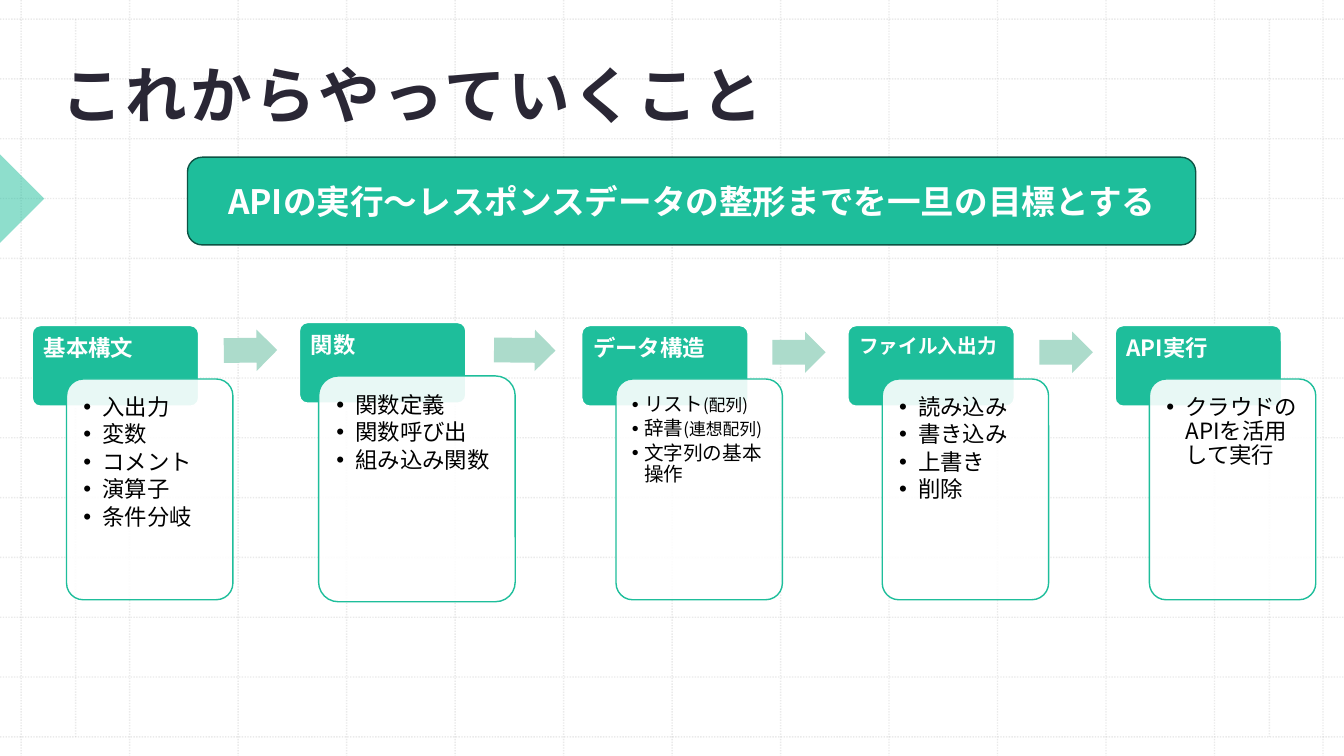
from lxml import etree
from pptx import Presentation
from pptx.dml.color import RGBColor
from pptx.enum.dml import MSO_LINE
from pptx.enum.shapes import MSO_CONNECTOR, MSO_SHAPE
from pptx.enum.text import MSO_ANCHOR, PP_ALIGN
from pptx.oxml.ns import qn
from pptx.util import Inches, Pt

ROUNDED, ARROW, TRIANGLE = MSO_SHAPE.ROUNDED_RECTANGLE, MSO_SHAPE.RIGHT_ARROW, MSO_SHAPE.RIGHT_TRIANGLE
STRAIGHT, DOTTED = MSO_CONNECTOR.STRAIGHT, MSO_LINE.ROUND_DOT
TOP, MIDDLE, BOTTOM = MSO_ANCHOR.TOP, MSO_ANCHOR.MIDDLE, MSO_ANCHOR.BOTTOM
LEFT, CENTER = PP_ALIGN.LEFT, PP_ALIGN.CENTER
FONT = "Noto Sans CJK JP"
COLORS = {"green": "1EBE9B", "dark_green": "0D5344", "pale_green": "ACDBCB",
          "ink": "2A2735", "black": "000000", "white": "FFFFFF", "grid": "BCBCBC"}
WIDTH, HEIGHT = 13.33, 7.5
HEADER_BOX = (1.65, 0.8)
CARD_BOX = (0.34, 0.53, 1.65, 2.19)
STEPS = [
    {"at": (0.32, 3.23), "title": "基本構文",
     "items": ["入出力", "変数", "コメント", "演算子", "条件分岐"],
     "arrow": (2.22, 3.27, 0.53, 359.4)},
    {"at": (2.97, 3.2), "title": "関数", "card": (0.19, 0.53, 1.95, 2.24),
     "items": ["関数定義", "関数呼び出", "組み込み関数"],
     "arrow": (4.9, 3.27, 0.61, 0.6)},
    {"at": (5.77, 3.23), "title": "データ構造", "item_size": 14, "indent": 0.12, "margin": 0.11,
     "items": ["リスト|(配列)", "辞書|(連想配列)", "文字列の基本操作"],
     "arrow": (7.66, 3.29, 0.53, 0)},
    {"at": (8.41, 3.23), "title": "ファイル入出力", "title_size": 14,
     "items": ["読み込み", "書き込み", "上書き", "削除"],
     "arrow": (10.31, 3.29, 0.53, 0)},
    {"at": (11.06, 3.23), "title": "API実行", "items": ["クラウドのAPIを活用して実行"]},
]


def rgb(name):
    """Return the palette colour called name."""
    return RGBColor.from_string(COLORS[name])


def set_alpha(fill_parent, percent):
    """Make the solid colour inside an element partly transparent."""
    color = next(fill_parent.iter(qn("a:srgbClr")))
    etree.SubElement(color, qn("a:alpha")).set("val", str(percent * 1000))


def add_block(slide, kind, box, fill, line=None, alpha=None, adjustments=()):
    """Add a flat preset shape filling the given box."""
    shape = slide.shapes.add_shape(kind, *map(Inches, box))
    shape.shadow.inherit = False
    shape.fill.solid()
    shape.fill.fore_color.rgb = rgb(fill)
    if alpha:
        set_alpha(shape.fill._xPr.find(qn("a:solidFill")), alpha)
    if line:
        shape.line.color.rgb = rgb(line)
        shape.line.width = Pt(1)
    else:
        shape.line.fill.background()
    for index, value in enumerate(adjustments):
        shape.adjustments[index] = value
    return shape


def set_frame(shape, anchor, margins):
    """Wrap the text of a shape, anchor it and set its margins."""
    frame = shape.text_frame
    frame.word_wrap = True
    frame.vertical_anchor = anchor
    frame.margin_left, frame.margin_top, frame.margin_right, frame.margin_bottom = map(Inches, margins)
    return frame


def write(paragraph, text, size, color, bold=False, align=LEFT, spacing=1.0, indent=0, tracking=0):
    """Fill a paragraph; text after a bar is set two points smaller."""
    properties = paragraph._p.get_or_add_pPr()
    if indent:
        properties.set("marL", str(Inches(indent)))
        properties.set("indent", str(Inches(-indent)))
        etree.SubElement(properties, qn("a:buFont")).set("typeface", "Arial")
        etree.SubElement(properties, qn("a:buChar")).set("char", "•")
        paragraph.space_after = Pt(size * 0.15)
    paragraph.alignment = align
    paragraph.line_spacing = spacing
    font = paragraph.font
    font.name, font.size, font.bold = FONT, Pt(size), bold
    font.color.rgb = rgb(color)
    defaults = properties.find(qn("a:defRPr"))
    etree.SubElement(defaults, qn("a:ea")).set("typeface", FONT)
    if tracking:
        defaults.set("spc", str(tracking))
    for index, part in enumerate(text.split("|")):
        run = paragraph.add_run()
        run.text = part
        if index:
            run.font.size = Pt(size - 2)


def add_grid(slide, width, height):
    """Draw the dotted background grid and the triangle at the left edge."""
    top, bottom = 0.19, 7.31
    columns = [0.21 + 1.076 * index for index in range(13)]
    rows = [top + (bottom - top) / 12 * index for index in range(13)]
    lines = [(x, 0, x, height) for x in columns] + [(0, y, width, y) for y in rows]
    lines += [(x, top, x, bottom) for x in (0.75, 12.59)]
    for ends in lines:
        connector = slide.shapes.add_connector(STRAIGHT, *map(Inches, ends))
        connector.line.color.rgb = rgb("grid")
        connector.line.width = Pt(1)
        connector.line.dash_style = DOTTED
        set_alpha(connector.line._ln, 30)
        etree.SubElement(connector._element.spPr, qn("a:effectLst"))
    triangle = add_block(slide, TRIANGLE, (-0.31, 1.66, 0.62, 0.62), "green", alpha=50)
    triangle.rotation = 225


def add_title(slide, box):
    """Add the slide title."""
    title = slide.shapes.add_textbox(*map(Inches, box))
    frame = set_frame(title, BOTTOM, (0.12, 0.12, 0.12, 0.1))
    write(frame.paragraphs[0], "これからやっていくこと", 44, "ink", bold=True, spacing=1.13, tracking=190)


def add_goal(slide, box):
    """Add the banner that states the goal."""
    banner = add_block(slide, ROUNDED, box, "green", "dark_green")
    frame = set_frame(banner, MIDDLE, (0.1, 0.05, 0.1, 0.05))
    write(frame.paragraphs[0], "APIの実行～レスポンスデータの整形までを一旦の目標とする", 24, "white",
          bold=True, align=CENTER)


def add_step(slide, step):
    """Add one step: header, overlapping card and the arrow to the next step."""
    left, top = step["at"]
    header = add_block(slide, ROUNDED, (left, top, *HEADER_BOX), "green", "white", adjustments=[0.1])
    frame = set_frame(header, TOP, (0.09, 0.09, 0.09, 0.05))
    write(frame.paragraphs[0], step["title"], step.get("title_size", 16), "white", bold=True, spacing=0.9)

    shift_x, shift_y, width, height = step.get("card", CARD_BOX)
    card = add_block(slide, ROUNDED, (left + shift_x, top + shift_y, width, height),
                     "white", "green", alpha=90, adjustments=[0.1])
    frame = set_frame(card, TOP, [step.get("margin", 0.12)] * 4)
    for index, item in enumerate(step["items"]):
        paragraph = frame.add_paragraph() if index else frame.paragraphs[0]
        write(paragraph, item, step.get("item_size", 16), "black", spacing=0.9,
              indent=step.get("indent", 0.19))

    if "arrow" in step:
        arrow_left, arrow_top, arrow_width, rotation = step["arrow"]
        arrow = add_block(slide, ARROW, (arrow_left, arrow_top, arrow_width, 0.41),
                          "pale_green", adjustments=[0.6, 0.5])
        arrow.rotation = rotation


def main():
    """Build the slide and save the presentation."""
    presentation = Presentation()
    presentation.slide_width, presentation.slide_height = Inches(WIDTH), Inches(HEIGHT)
    slide = presentation.slides.add_slide(presentation.slide_layouts[6])
    add_grid(slide, WIDTH, HEIGHT)
    add_title(slide, (0.49, 0.47, 11.29, 0.93))
    add_goal(slide, (1.86, 1.56, 10, 0.87))
    for step in STEPS:
        add_step(slide, step)
    presentation.save("out.pptx")


main()
